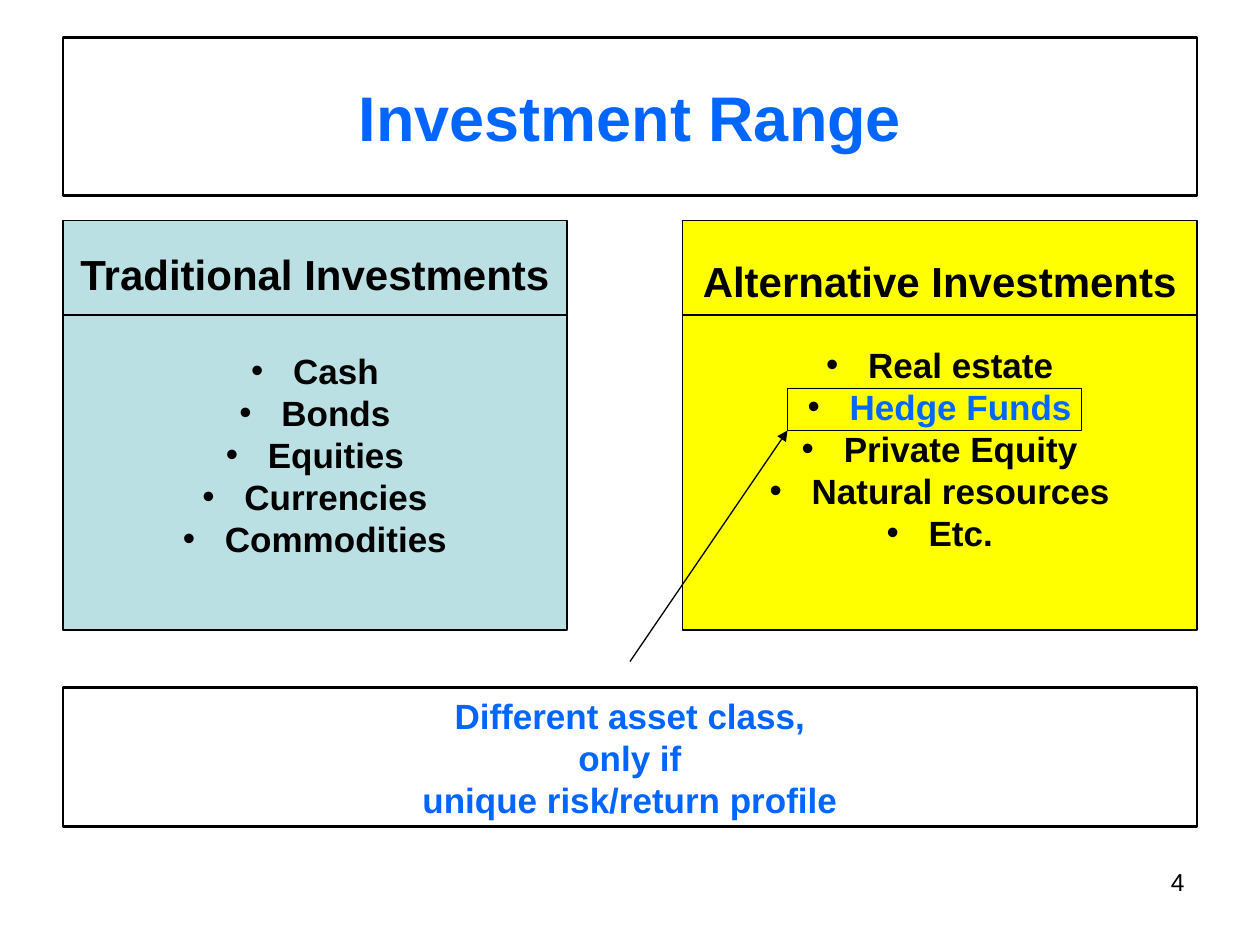
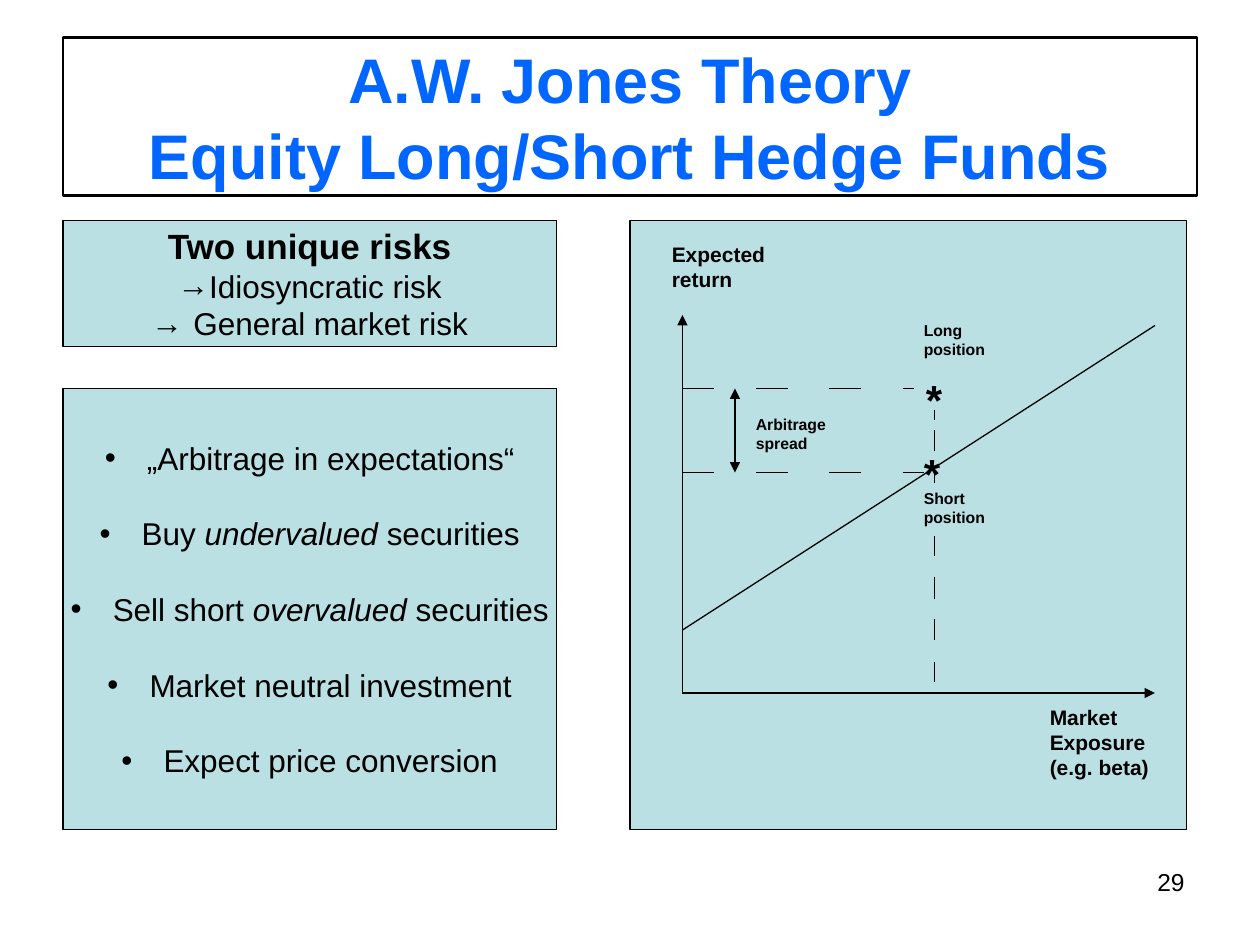
from dataclasses import dataclass
from itertools import product

from lxml import etree
from pptx import Presentation
from pptx import util as u
from pptx.dml.color import RGBColor
from pptx.enum import shapes, text
from pptx.oxml.ns import qn

EMU_PER_PX = 7620
FONT = "Arial"
COLOURS = {"ink": "000000", "accent": "0066FF", "teal": "BBE0E3", "yellow": "FFFF00"}
LEADING = 1.2
THIN, THICK = 0.75, 1.5
LEFT, CENTER, RIGHT = text.PP_ALIGN.LEFT, text.PP_ALIGN.CENTER, text.PP_ALIGN.RIGHT


@dataclass(frozen=True)
class Area:
    left: int
    top: int
    width: int
    height: int


@dataclass(frozen=True)
class Span:
    words: str
    bold: bool = False
    italic: bool = False
    colour: str = "ink"


@dataclass(frozen=True)
class Line:
    spans: tuple[Span, ...]
    size: int
    bullet: str = ""
    indent: int = 40
    before: int = 0


@dataclass(frozen=True)
class Panel:
    area: Area
    lines: tuple[Line, ...] = ()
    fill: str = ""
    weight: float = THIN
    bottom: int = 6


@dataclass(frozen=True)
class Label:
    area: Area
    words: tuple[str, ...]
    size: int
    bold: bool = True
    align: text.PP_ALIGN = LEFT


@dataclass(frozen=True)
class Rule:
    x1: int
    y1: int
    x2: int
    y2: int
    arrow: bool = False


def px(length: int) -> u.Emu:
    return u.Emu(length * EMU_PER_PX)


def rgb(name: str) -> RGBColor:
    return RGBColor.from_string(COLOURS[name])


def bounds(area: Area) -> tuple:
    return px(area.left), px(area.top), px(area.width), px(area.height)


def set_insets(frame, left: int, top: int, right: int, bottom: int) -> None:
    frame.margin_left, frame.margin_top = px(left), px(top)
    frame.margin_right, frame.margin_bottom = px(right), px(bottom)
    frame.word_wrap = True
    frame.auto_size = text.MSO_AUTO_SIZE.NONE


def add_bullet(para, mark: str, indent: int) -> None:
    props = para._p.get_or_add_pPr()
    props.set("marL", str(px(indent)))
    props.set("indent", str(-px(indent)))
    colour = etree.SubElement(props, qn("a:buClr"))
    etree.SubElement(colour, qn("a:srgbClr"), val=COLOURS["ink"])
    etree.SubElement(props, qn("a:buFont"), typeface=FONT)
    etree.SubElement(props, qn("a:buChar"), char=mark)


def add_span(para, span: Span, size: int) -> None:
    run = para.add_run()
    run.text = span.words
    run.font.name = FONT
    run.font.size = u.Pt(size)
    run.font.bold = span.bold
    run.font.italic = span.italic
    run.font.color.rgb = rgb(span.colour)


def write(frame, lines: tuple[Line, ...], align: text.PP_ALIGN) -> None:
    for index, line in enumerate(lines):
        para = frame.add_paragraph() if index else frame.paragraphs[0]
        if line.bullet:
            add_bullet(para, line.bullet, line.indent)
        para.alignment = align
        para.line_spacing = u.Pt(line.size * LEADING)
        para.space_before = px(line.before)
        for span in line.spans:
            add_span(para, span, line.size)


def set_outline(box, weight: float) -> None:
    box.line.color.rgb = rgb("ink")
    box.line.width = u.Pt(weight)


def draw_panel(page, panel: Panel) -> None:
    box = page.shapes.add_shape(shapes.MSO_SHAPE.RECTANGLE, *bounds(panel.area))
    box.shadow.inherit = False
    set_outline(box, panel.weight)
    if panel.fill:
        box.fill.solid()
        box.fill.fore_color.rgb = rgb(panel.fill)
    else:
        box.fill.background()
    frame = box.text_frame
    set_insets(frame, 0, 6, 0, panel.bottom)
    frame.vertical_anchor = text.MSO_ANCHOR.MIDDLE
    write(frame, panel.lines, CENTER)


def draw_label(page, label: Label) -> None:
    frame = page.shapes.add_textbox(*bounds(label.area)).text_frame
    set_insets(frame, 12, 6, 12 if label.align == RIGHT else 0, 6)
    lines = tuple(Line((Span(words, label.bold),), label.size) for words in label.words)
    write(frame, lines, label.align)


def draw_rule(page, rule: Rule) -> None:
    line = page.shapes.add_connector(
        shapes.MSO_CONNECTOR.STRAIGHT, px(rule.x1), px(rule.y1), px(rule.x2), px(rule.y2)
    )
    set_outline(line, THIN)
    if rule.arrow:
        etree.SubElement(line.line._get_or_add_ln(), qn("a:tailEnd"), type="triangle")
    etree.SubElement(line._element.spPr, qn("a:effectLst"))


def add_page(deck, title_lines: tuple[str, ...], number: int):
    page = deck.slides.add_slide(deck.slide_layouts[5])
    title = page.shapes.title
    title.left, title.top, title.width, title.height = bounds(Area(60, 36, 1080, 150))
    set_outline(title, THICK)
    frame = title.text_frame
    set_insets(frame, 0, 0, 0, 0)
    frame.vertical_anchor = text.MSO_ANCHOR.MIDDLE
    para = frame.paragraphs[0]
    para.alignment = CENTER
    para.line_spacing = u.Pt(36 * LEADING)
    for index, words in enumerate(title_lines):
        if index:
            para.add_line_break()
        add_span(para, Span(words, True, colour="accent"), 36)
    draw_label(page, Label(Area(860, 820, 280, 62), (str(number),), 14, False, RIGHT))
    return page


def investment_list(heading: str, items: tuple[str, ...], gap: int) -> tuple[Line, ...]:
    bullets = tuple(
        Line(
            (Span(item, True, colour="accent" if item == "Hedge Funds" else "ink"),),
            20,
            "•",
            before=0 if index else gap,
        )
        for index, item in enumerate(items)
    )
    return (Line((Span(heading, True),), 24), *bullets)


def build_investment_range(deck) -> None:
    page = add_page(deck, ("Investment Range",), 4)
    traditional = investment_list(
        "Traditional Investments",
        ("Cash", "Bonds", "Equities", "Currencies", "Commodities"),
        48,
    )
    alternative = investment_list(
        "Alternative Investments",
        ("Real estate", "Hedge Funds", "Private Equity", "Natural resources", "Etc."),
        36,
    )
    conclusion = tuple(
        Line((Span(words, True, colour="accent"),), 20)
        for words in ("Different asset class,", "only if", "unique risk/return profile")
    )
    for panel in (
        Panel(Area(60, 210, 480, 390), traditional, "teal", bottom=46),
        Panel(Area(650, 210, 490, 390), alternative, "yellow", bottom=46),
        Panel(Area(60, 655, 1080, 132), conclusion, weight=THICK),
        Panel(Area(750, 370, 280, 40)),
    ):
        draw_panel(page, panel)
    for rule in (
        Rule(600, 630, 750, 410, arrow=True),
        Rule(60, 300, 540, 300),
        Rule(650, 300, 1140, 300),
    ):
        draw_rule(page, rule)


def draw_risk_chart(page) -> None:
    origin_x, origin_y, axis_end = 650, 660, 1100
    long_y, short_y, spread_x, exposure_x = 370, 450, 700, 890
    middle_y = (long_y + short_y) // 2
    draw_panel(page, Panel(Area(600, 210, 530, 580), fill="teal"))
    rules = [
        Rule(origin_x, origin_y, axis_end, origin_y, arrow=True),
        Rule(origin_x, origin_y, origin_x, 300, arrow=True),
        Rule(origin_x, 600, axis_end, 310),
    ]
    rules += [
        Rule(x, y, min(x + 30, end), y)
        for (y, end), x in product(((long_y, 870), (short_y, 880)), range(origin_x, 870, 70))
    ]
    rules += [Rule(spread_x, middle_y, spread_x, y, arrow=True) for y in (long_y, short_y)]
    upper_dashes = [(390, 400), (410, 430), (450, 460)]
    lower_dashes = [(y, y + 20) for y in range(510, 640, 40)]
    rules += [Rule(exposure_x, y1, exposure_x, y2) for y1, y2 in upper_dashes + lower_dashes]
    for rule in rules:
        draw_rule(page, rule)
    for label in (
        Label(Area(988, 665, 118, 84), ("Market", "Exposure", "(e.g. beta)"), 12),
        Label(Area(628, 224, 113, 60), ("Expected", "return"), 12),
        Label(Area(708, 389, 90, 48), ("Arbitrage", "spread"), 9),
        Label(Area(868, 460, 82, 48), ("Short", "position"), 9),
        Label(Area(868, 300, 82, 48), ("Long", "position"), 9),
        Label(Area(870, 350, 43, 60), ("*",), 24),
        Label(Area(868, 420, 36, 60), ("*",), 24),
    ):
        draw_label(page, label)


def build_jones_theory(deck) -> None:
    page = add_page(deck, ("A.W. Jones Theory", "Equity Long/Short Hedge Funds"), 29)
    risks = (
        Line((Span("Two unique risks", True),), 20),
        Line((Span("Idiosyncratic risk"),), 18, "→", 30),
        Line((Span("General market risk"),), 18, "→"),
    )
    ideas = (
        (Span("„Arbitrage in expectations“"),),
        (Span("Buy "), Span("undervalued", italic=True), Span(" securities")),
        (Span("Sell short "), Span("overvalued", italic=True), Span(" securities")),
        (Span("Market neutral investment"),),
        (Span("Expect price conversion"),),
    )
    strategy = tuple(
        Line(spans, 18, "•", before=36 if index else 0) for index, spans in enumerate(ideas)
    )
    draw_panel(page, Panel(Area(60, 210, 470, 120), risks, "teal"))
    draw_panel(page, Panel(Area(60, 370, 470, 420), strategy, "teal"))
    draw_risk_chart(page)


def main() -> None:
    deck = Presentation()
    deck.slide_width, deck.slide_height = px(1200), px(900)
    build_investment_range(deck)
    build_jones_theory(deck)
    deck.save("out.pptx")


if __name__ == "__main__":
    main()
